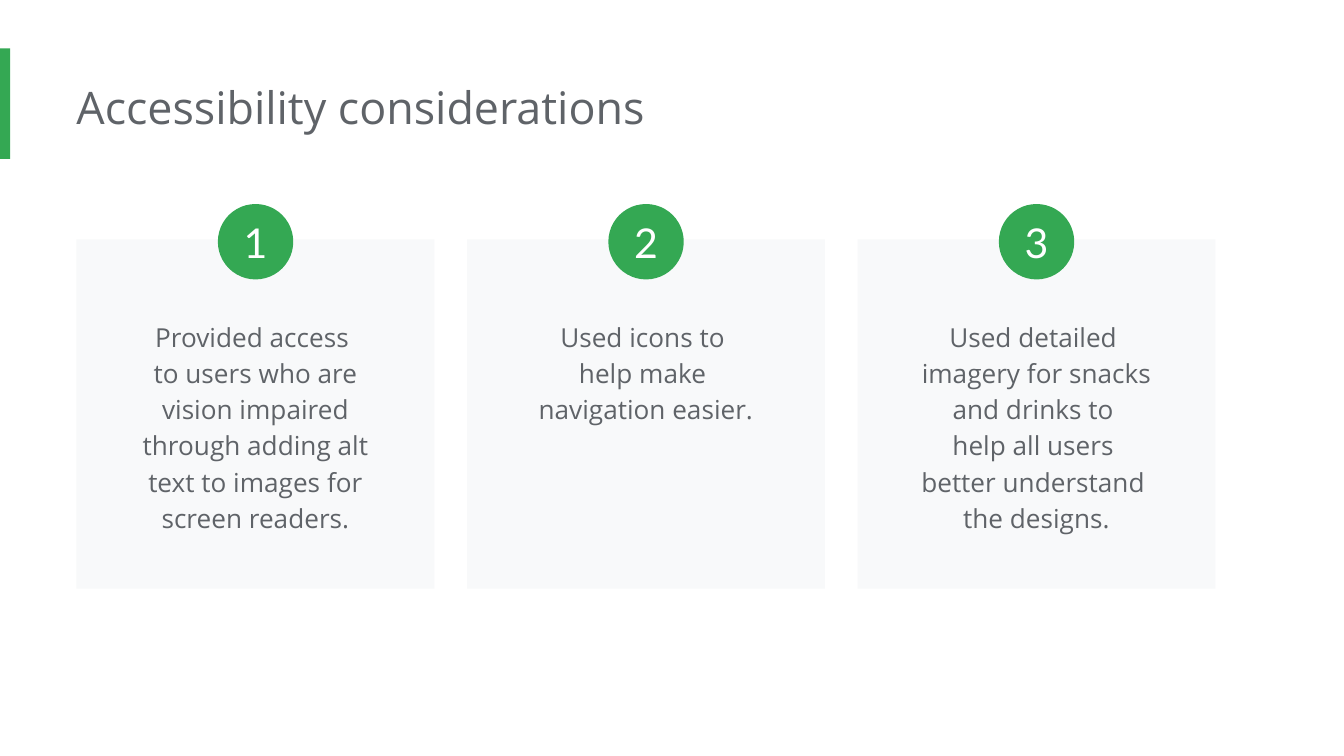
from pptx import Presentation
from pptx.dml.color import RGBColor
from pptx.enum.shapes import MSO_SHAPE
from pptx.enum.text import MSO_ANCHOR, PP_ALIGN
from pptx.util import Pt

RECT, OVAL = MSO_SHAPE.RECTANGLE, MSO_SHAPE.OVAL
LEFT, CENTER = PP_ALIGN.LEFT, PP_ALIGN.CENTER
TOP, MIDDLE = MSO_ANCHOR.TOP, MSO_ANCHOR.MIDDLE

# Content: one entry per card, each a list of lines
TITLE = "Accessibility considerations"
CARDS = [
    ["Provided access ",
     "to users who are vision impaired through adding alt text to images "
     "for screen readers."],
    ["Used icons to ", "help make ", "navigation easier."],
    ["Used detailed ", "imagery for snacks and drinks to ", "help all users ",
     "better understand ", "the designs."],
]

# Style and layout, in points
GREEN, GRAY, PALE, WHITE = "34A853", "5F6368", "F8F9FA", "FFFFFF"
BODY_FONT, NUMBER_FONT = "Open Sans", "Lato"
MARGIN = 41
CARD_TOP, CARD_W, CARD_H, PITCH = 128.2, 191.8, 187.2, 209.2
BADGE_TOP, BADGE = 109.3, 40.4
BODY_TOP, BODY_W, BODY_H = 162.7, 161.3, 130


def color(hex_value):
    return RGBColor.from_string(hex_value)


def add_block(kind, x, y, w, h, fill):
    sp = s.shapes.add_shape(kind, Pt(x), Pt(y), Pt(w), Pt(h))
    sp.shadow.inherit = False
    sp.fill.solid()
    sp.fill.fore_color.rgb = color(fill)
    sp.line.fill.background()
    return sp


def add_label(x, y, w, h):
    return s.shapes.add_textbox(Pt(x), Pt(y), Pt(w), Pt(h))


def write(sp, lines, size, font, ink, align, anchor, insets, spacing=1.0):
    tf = sp.text_frame
    tf.word_wrap = True
    tf.vertical_anchor = anchor
    tf.margin_left, tf.margin_top, tf.margin_right, tf.margin_bottom = map(Pt, insets)
    p = tf.paragraphs[0]
    p.alignment = align
    p.line_spacing = spacing
    for i, line in enumerate(lines):
        if i:
            p.add_line_break()
        r = p.add_run()
        r.text = line
        r.font.size = Pt(size)
        r.font.name = font
        r.font.color.rgb = color(ink)


prs = Presentation()
prs.slide_width, prs.slide_height = Pt(720), Pt(405)
s = prs.slides.add_slide(prs.slide_layouts[6])

# Accent bar and title
add_block(RECT, 0, 26, 5.5, 59.2, GREEN)
write(add_label(MARGIN, 35.3, 551.5, 43.9), [TITLE], 24, BODY_FONT, GRAY,
      LEFT, TOP, (0, 7.2, 7.2, 7.2))

# Cards with body text and numbered badges
for i, lines in enumerate(CARDS):
    x = MARGIN + i * PITCH
    mid = x + CARD_W / 2
    add_block(RECT, x, CARD_TOP, CARD_W, CARD_H, PALE)
    write(add_label(mid - BODY_W / 2, BODY_TOP, BODY_W, BODY_H), lines, 14,
          BODY_FONT, GRAY, CENTER, TOP, (7.2,) * 4, 1.15)
    badge = add_block(OVAL, mid - BADGE / 2, BADGE_TOP, BADGE, BADGE, GREEN)
    write(badge, [str(i + 1)], 22, NUMBER_FONT, WHITE, CENTER, MIDDLE, (0,) * 4)

prs.save("out.pptx")
